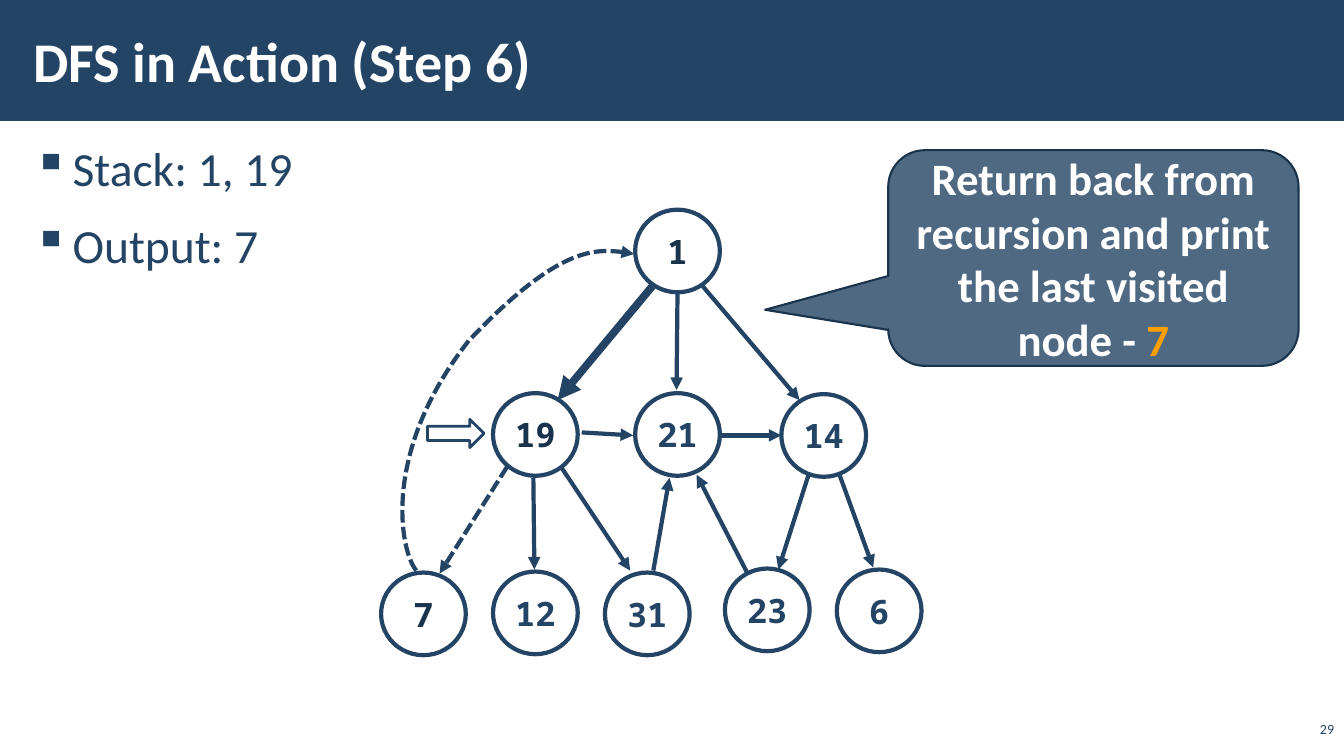
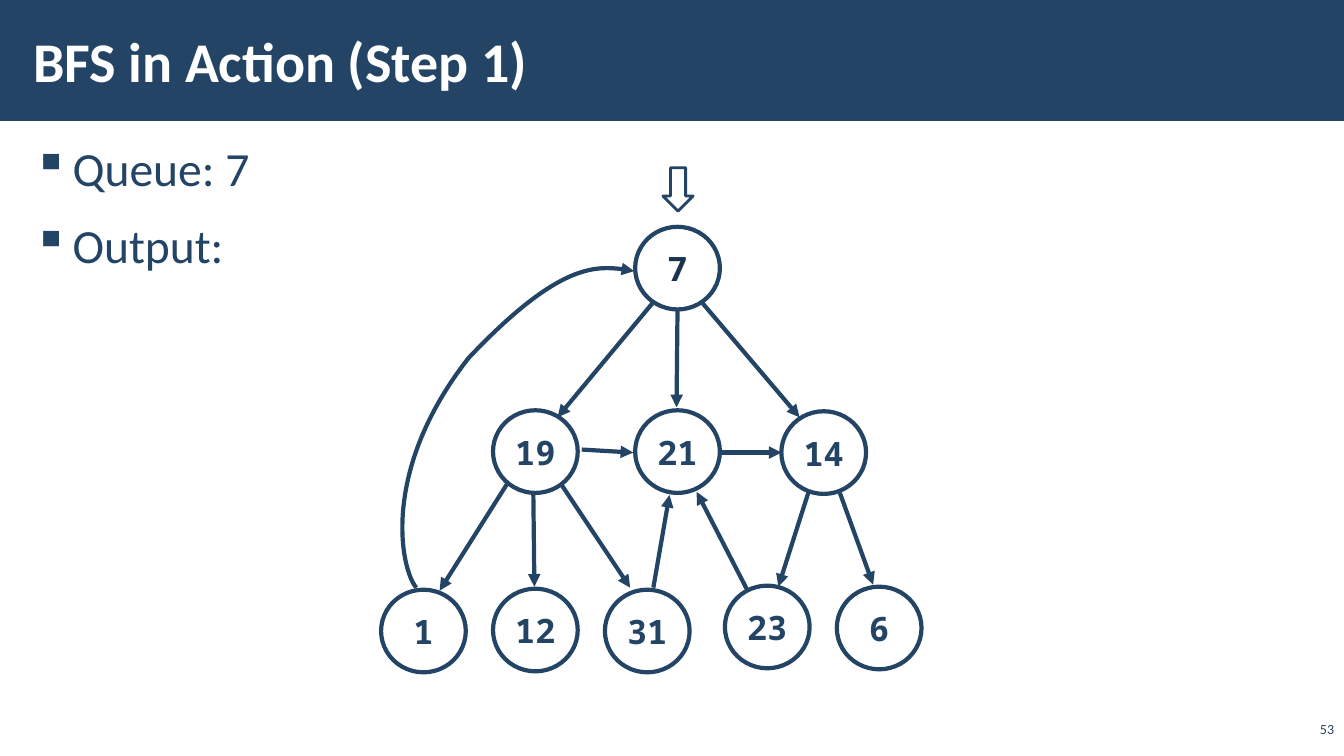
from lxml import etree
from pptx import Presentation
from pptx.dml.color import RGBColor
from pptx.enum.dml import MSO_LINE
from pptx.enum.shapes import MSO_CONNECTOR, MSO_SHAPE
from pptx.enum.text import MSO_ANCHOR, PP_ALIGN
from pptx.oxml.ns import qn
from pptx.util import Pt

PX = 9144
NAVY = RGBColor(0x23, 0x44, 0x65)
DARK = RGBColor(0x1A, 0x33, 0x4C)
LABEL = RGBColor(0x24, 0x44, 0x65)
WHITE = RGBColor(0xFF, 0xFF, 0xFF)
ORANGE = RGBColor(0xFF, 0xA0, 0x00)
DASH = MSO_LINE.SQUARE_DOT
RECT, OVAL = MSO_SHAPE.RECTANGLE, MSO_SHAPE.OVAL
ARROW, CALLOUT = MSO_SHAPE.RIGHT_ARROW, MSO_SHAPE.ROUNDED_RECTANGULAR_CALLOUT
STRAIGHT = MSO_CONNECTOR.STRAIGHT
MIDDLE, BOTTOM = MSO_ANCHOR.MIDDLE, MSO_ANCHOR.BOTTOM
LEFT, CENTER, RIGHT = PP_ALIGN.LEFT, PP_ALIGN.CENTER, PP_ALIGN.RIGHT

TITLE = {"name": "Calibri", "size": Pt(40), "bold": True}
BODY = {"name": "Calibri", "size": Pt(34), "bold": False}
NUMBER = {"name": "Calibri", "size": Pt(10), "bold": False}
NODE = {"name": "Noto Sans Mono", "size": Pt(24), "bold": True}
SPEECH = {"name": "Calibri", "size": Pt(32), "bold": True}
INSETS = {"margin_left": 12 * PX, "margin_right": 12 * PX,
          "margin_top": 4 * PX, "margin_bottom": 4 * PX, "word_wrap": True}
BULLET = {"line_spacing": 1.05, "space_before": Pt(6), "space_after": Pt(6)}

NODE_W, NODE_H = 84, 82
NODES = [(630, 208), (489, 390), (630, 390), (775, 391),
         (378, 568), (489, 567), (600, 568), (719, 564), (830, 565)]
EDGES = [(647, 284, 553, 397), (503, 463, 436, 569), (802, 471, 772, 565),
         (833, 472, 866, 563), (697, 284, 793, 397), (672, 290, 671, 387),
         (557, 464, 625, 566), (529, 474, 530, 565), (577, 429, 628, 432),
         (648, 566, 664, 474), (741, 568, 691, 471), (716, 432, 775, 432)]
CURVE = [(413, 566), (398, 549), (376, 451), (465, 338),
         (554, 244), (604, 246), (629, 252)]

SLIDES = [
    {"title": "DFS in Action (Step 6)", "number": "29",
     "bullets": ["Stack: 1, 19", "Output: 7"],
     "labels": ["1", "19", "21", "14", "7", "12", "31", "23", "6"],
     "visited": ["1", "19", "7"], "dy": 0,
     "widths": {0: 5.5}, "dashed": [1, "curve"],
     "pointer": (424, 416, 56, 28), "rotation": 0,
     "speech": ["Return back from recursion and print the last visited node - ", "7"]},
    {"title": "BFS in Action (Step 1)", "number": "53",
     "bullets": ["Queue: 7", "Output:"],
     "labels": ["7", "19", "21", "14", "1", "12", "31", "23", "6"],
     "visited": ["7"], "dy": 17,
     "widths": {}, "dashed": [],
     "pointer": (651, 173, 43, 30), "rotation": 90,
     "speech": []},
]


def put(shapes, kind, box, fill, alpha, line, width):
    sp = shapes.add_shape(kind, *[v * PX for v in box])
    sp.shadow.inherit = False
    sp.fill.solid()
    sp.fill.fore_color.rgb = fill
    clr = sp._element.spPr.find(qn("a:solidFill"))[0]
    etree.SubElement(clr, qn("a:alpha"), val=str(alpha * 1000))
    sp.line.color.rgb = line
    sp.line.width = Pt(width)
    return sp


def write(p, text, fmt, color, align):
    p.alignment = align
    r = p.add_run()
    r.text = text
    for key, value in fmt.items():
        setattr(r.font, key, value)
    r.font.color.rgb = color


prs = Presentation()
prs.slide_width, prs.slide_height = 1333 * PX, 750 * PX
layout = prs.slide_layouts[5]
band = None

for data in SLIDES:
    s = prs.slides.add_slide(layout)
    if band is None:
        band = put(s.shapes, RECT, (0, 0, 1333, 120), NAVY, 100, NAVY, 1)
        band.line.fill.background()
        layout.shapes._spTree.insert(2, band._element)

    title = s.shapes.title
    title.left, title.top, title.width, title.height = [v * PX for v in (21, 11, 1063, 97)]
    body = s.shapes.add_textbox(21 * PX, 131 * PX, 1292 * PX, 605 * PX)
    for sp in (title, body):
        for key, value in INSETS.items():
            setattr(sp.text_frame, key, value)
    title.text_frame.vertical_anchor = MIDDLE
    write(title.text_frame.paragraphs[0], data["title"], TITLE, WHITE, LEFT)

    tf = body.text_frame
    for i, text in enumerate(data["bullets"]):
        p = tf.add_paragraph() if i else tf.paragraphs[0]
        write(p, text, BODY, NAVY, LEFT)
        for key, value in BULLET.items():
            setattr(p, key, value)
        pPr = p._p.get_or_add_pPr()
        pPr.set("marL", str(39 * PX))
        pPr.set("indent", str(-39 * PX))
        etree.SubElement(pPr, qn("a:buChar"), char="▪")

    tf = s.shapes.add_textbox(1286 * PX, 714 * PX, 47 * PX, 22 * PX).text_frame
    tf.word_wrap = True
    tf.vertical_anchor = BOTTOM
    write(tf.paragraphs[0], data["number"], NUMBER, NAVY, RIGHT)

    graph = s.shapes.add_group_shape().shapes
    dy = data["dy"]
    points = [(x, y + dy) for x, y in CURVE]
    builder = graph.build_freeform(*points[0], scale=PX)
    builder.add_line_segments(points[1:], close=False)
    curve = builder.convert_to_shape()
    curve.fill.background()
    geom = curve._element.find(".//" + qn("a:path"))
    segments = geom.findall(qn("a:lnTo"))
    for i in range(0, len(segments), 3):
        bezier = etree.SubElement(geom, qn("a:cubicBezTo"))
        for segment in segments[i:i + 3]:
            bezier.append(segment[0])
            geom.remove(segment)

    links = {"curve": curve}
    for i, (x1, y1, x2, y2) in enumerate(EDGES):
        ends = [v * PX for v in (x1, y1 + dy, x2, y2 + dy)]
        links[i] = graph.add_connector(STRAIGHT, *ends)
    for key, link in links.items():
        link.line.color.rgb = NAVY
        link.line.width = Pt(data["widths"].get(key, 3))
        if key in data["dashed"]:
            link.line.dash_style = DASH
        spPr = link._element.spPr
        etree.SubElement(spPr.find(qn("a:ln")), qn("a:tailEnd"), type="triangle")
        etree.SubElement(spPr, qn("a:effectLst"))

    for (x, y), label in zip(NODES, data["labels"]):
        visited = label in data["visited"]
        sp = put(graph, OVAL, (x, y + dy, NODE_W, NODE_H), WHITE, 70 if visited else 50, NAVY, 3)
        tf = sp.text_frame
        tf.word_wrap = False
        tf.vertical_anchor = MIDDLE
        write(tf.paragraphs[0], label, NODE, DARK if visited else LABEL, CENTER)

    pointer = put(s.shapes, ARROW, data["pointer"], WHITE, 50, NAVY, 2)
    pointer.rotation = data["rotation"]

    if data["speech"]:
        sp = put(s.shapes, CALLOUT, (881, 149, 407, 214), NAVY, 80, DARK, 1.5)
        for i, value in enumerate((-0.796, 0.242, 0.167)):
            sp.adjustments[i] = round(value, 2)
        tf = sp.text_frame
        tf.word_wrap = True
        tf.vertical_anchor = MIDDLE
        for text, color in zip(data["speech"], (WHITE, ORANGE)):
            write(tf.paragraphs[0], text, SPEECH, color, CENTER)

prs.save("out.pptx")
